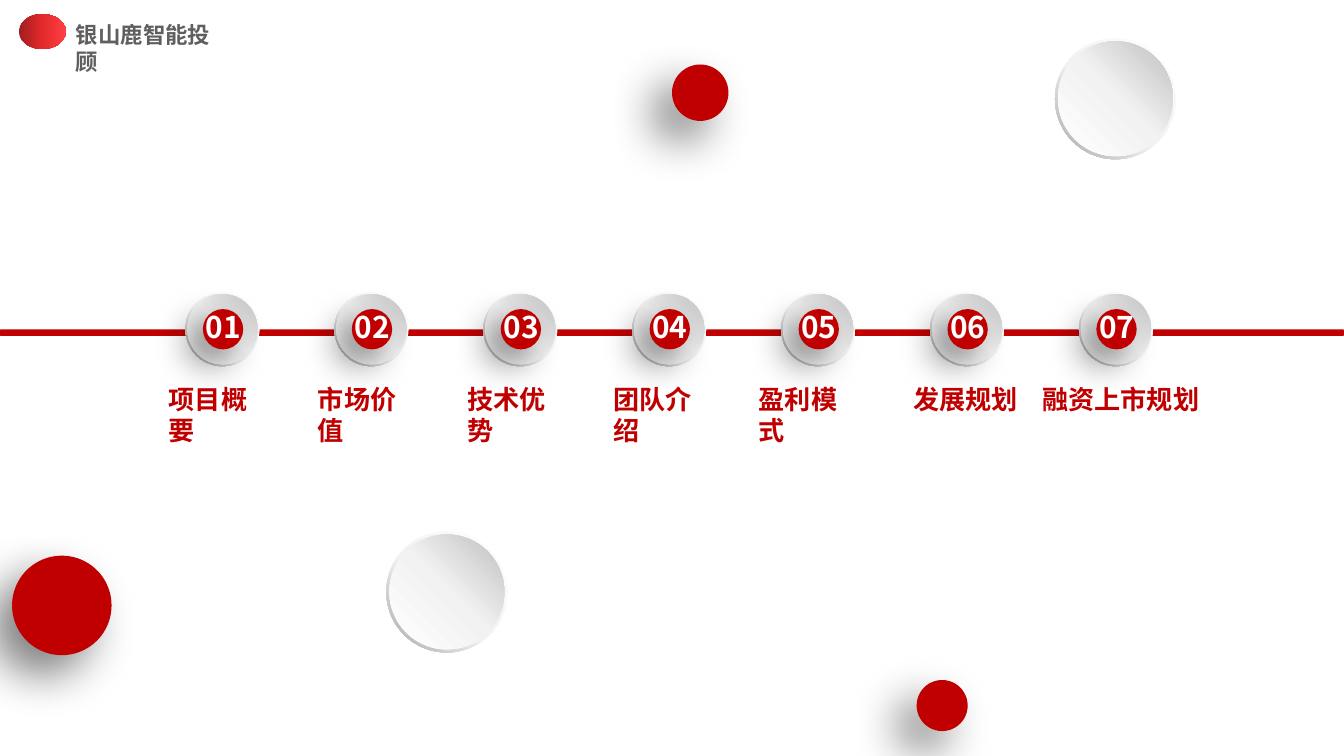
import dataclasses

import lxml.etree
import pptx
import pptx.dml.color
import pptx.enum.shapes
import pptx.enum.text
import pptx.oxml.ns
import pptx.util

KIND = pptx.enum.shapes.MSO_SHAPE
qn = pptx.oxml.ns.qn


@dataclasses.dataclass(frozen=True)
class Theme:
    font: str = "Noto Sans CJK SC"
    red: str = "C00000"
    bar: str = "C00002"
    white: str = "FFFFFF"
    grey: str = "5F5F5F"
    rim: tuple = ((0, "FFFFFF"), (55, "F2F2F2"), (100, "A6A6A6"))
    face: tuple = ((0, "FFFFFF"), (51, "F2F2F2"), (100, "BFBFBF"))
    badge: tuple = ((0, "A01E1F"), (50, "E32A2C"), (100, "FF4042"))
    num: int = 16
    label: int = 14
    head: int = 12
    # opacity in percent, then blur and distance in points
    deep: tuple = (50, 25, 15)
    soft: tuple = (60, 20, 10)


THEME = Theme()
CELL = 0.1  # square grid cell in inches: 100 columns across the slide
STEP = 11.08  # columns between timeline nodes
ITEMS = (  # label, left column, width, wraps
    ("项目概要", 11.8, 9.1, True),
    ("市场价值", 22.9, 9.1, True),
    ("技术优势", 34, 9.1, True),
    ("团队介绍", 44.9, 9.1, True),
    ("盈利模式", 55.7, 9.1, True),
    ("发展规划", 67.2, 9.4, False),
    ("融资上市规划", 76.8, 13.3, False),
)


def grid(*cells):
    return [pptx.util.Emu(round(n * CELL * 914400)) for n in cells]


def tint(code):
    return pptx.dml.color.RGBColor.from_string(code)


def assign(thing, values):
    for name, value in values.items():
        setattr(thing, name, value)


def shape(home, kind, box, color):
    item = home.add_shape(kind, *grid(*box))
    item.shadow.inherit = False
    item.line.fill.background()
    item.fill.solid()
    item.fill.fore_color.rgb = tint(color)
    return item


def blend(item, stops, angle):
    """Fill with a gradient; the angle runs clockwise in degrees."""
    item.fill.gradient()
    item.fill.gradient_angle = (360 - angle) % 360
    rows = item._element.spPr.find(".//" + qn("a:gsLst"))
    for old in list(rows):
        rows.remove(old)
    for place, code in stops:
        stop = lxml.etree.SubElement(rows, qn("a:gs"), pos=str(place * 1000))
        lxml.etree.SubElement(stop, qn("a:srgbClr"), val=code)


def ball(home, left, top, size, shade):
    """Draw a red circle that casts a shadow to the lower left."""
    item = shape(home, KIND.OVAL, (left, top, size, size), THEME.red)
    alpha, blur, dist = shade
    cast = lxml.etree.SubElement(
        item._element.spPr.find(qn("a:effectLst")), qn("a:outerShdw"),
        blurRad=str(pptx.util.Pt(blur)), dist=str(pptx.util.Pt(dist)),
        dir=str(135 * 60000), algn="tr", rotWithShape="0")
    color = lxml.etree.SubElement(cast, qn("a:srgbClr"), val="000000")
    lxml.etree.SubElement(color, qn("a:alpha"), val=str(alpha * 1000))


def disc(home, left, top, size):
    """Draw a pale raised disc inside a thin rim."""
    rim = shape(home, KIND.DONUT, (left, top, size, size), THEME.white)
    rim.adjustments[0] = 0.05
    blend(rim, THEME.rim, 135)
    gap = size * 0.025
    core = size - 2 * gap
    face = shape(home, KIND.OVAL, (left + gap, top + gap, core, core), THEME.white)
    blend(face, THEME.face, 315)


def write(home, words, box, size, color, wrap=False, pad=(0.75, 0.4)):
    frame = home.add_textbox(*grid(*box)).text_frame
    side, edge = grid(*pad)
    assign(frame, {
        "word_wrap": wrap,
        "auto_size": pptx.enum.text.MSO_AUTO_SIZE.NONE,
        "margin_left": side, "margin_right": side,
        "margin_top": edge, "margin_bottom": edge,
    })
    run = frame.paragraphs[0].add_run()
    run.text = words
    assign(run.font, {"size": pptx.util.Pt(size), "bold": True, "name": THEME.font})
    run.font.color.rgb = tint(color)
    lxml.etree.SubElement(run._r.rPr, qn("a:ea"), typeface=THEME.font)


def node(shapes, index):
    home = shapes.add_group_shape().shapes
    left = 13.8 + index * STEP
    disc(home, left, 21.75, 5.5)
    ball(home, left + 1.3, 23, 3, THEME.soft)
    write(home, f"{index + 1:02}", (left + 1.5, 23, 2.8, 2.7),
          THEME.num, THEME.white, pad=(0, 0))


def header(shapes):
    home = shapes.add_group_shape().shapes
    write(home, "银山鹿智能投顾", (4.9, 1.2, 13, 2.8), THEME.head, THEME.grey, True)
    badge = shape(home, KIND.OVAL, (1.4, 1.05, 3.5, 2.6), THEME.red)
    blend(badge, THEME.badge, 0)


def main():
    deck = pptx.Presentation()
    assign(deck, dict(zip(("slide_width", "slide_height"), grid(100, 56.25))))
    shapes = deck.slides.add_slide(deck.slide_layouts[6]).shapes

    ball(shapes, 0.9, 41.35, 7.4, THEME.deep)
    disc(shapes.add_group_shape().shapes, 28.75, 39.55, 9)
    shape(shapes, KIND.ROUNDED_RECTANGLE, (0, 24.5, 100, 0.5), THEME.bar)
    for index in range(len(ITEMS)):
        node(shapes, index)
    for words, left, width, wrap in ITEMS:
        write(shapes, words, (left, 28.1, width, 3.2), THEME.label, THEME.red, wrap)
    disc(shapes.add_group_shape().shapes, 78.5, 2.85, 9)
    ball(shapes, 50, 4.8, 4.2, THEME.deep)
    ball(shapes, 68.2, 50.6, 3.8, THEME.deep)
    header(shapes)
    deck.save("out.pptx")


if __name__ == "__main__":
    main()
